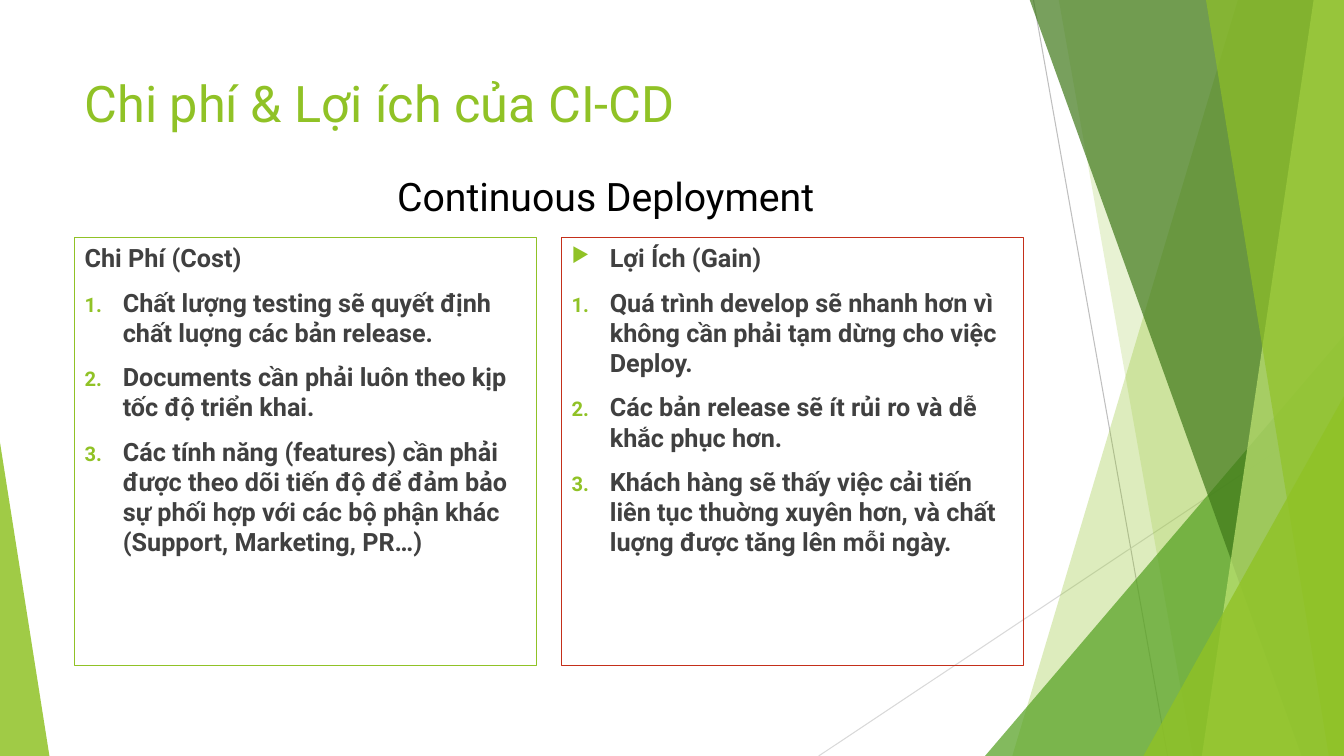
from lxml import etree
from pptx import Presentation
from pptx import util as u
from pptx.dml.color import RGBColor
from pptx.enum import shapes, text
from pptx.oxml.ns import qn
from pptx.util import Inches

COLORS = {
    "lime": "90C226", "green": "54A021", "forest": "3F7819", "pale": "C0E474",
    "red": "C42F1A", "ink": "404040", "black": "000000",
    "gray": "BFBFBF", "light_gray": "D9D9D9",
}
FONT = "Roboto"
TOP, BOTTOM, RIGHT = -0.01, 7.5, 13.33

COSTS = [
    "Chất lượng testing sẽ quyết định chất luợng các bản release.",
    "Documents cần phải luôn theo kịp tốc độ triển khai.",
    "Các tính năng (features) cần phải được theo dõi tiến độ để đảm bảo "
    "sự phối hợp với các bộ phận khác (Support, Marketing, PR…)",
]
GAINS = [
    "Quá trình develop sẽ nhanh hơn vì không cần phải tạm dừng cho việc Deploy.",
    "Các bản release sẽ ít rủi ro và dễ khắc phục hơn.",
    "Khách hàng sẽ thấy việc cải tiến liên tục thuờng xuyên hơn, "
    "và chất luợng được tăng lên mỗi ngày.",
]


def rgb(name):
    return RGBColor.from_string(COLORS[name])


def paint(shape, color, opacity):
    """Translucent fill without outline or shadow."""
    shape.shadow.inherit = False
    shape.line.fill.background()
    shape.fill.solid()
    shape.fill.fore_color.rgb = rgb(color)
    color_xml = shape.fill._xPr.find(qn("a:solidFill"))[0]
    etree.SubElement(color_xml, qn("a:alpha"), val=str(opacity * 1000))


def add_band(slide, top_left, bottom_left, color, opacity):
    """Slanted band that reaches the right edge of the slide."""
    corners = [(top_left, TOP), (RIGHT, TOP), (RIGHT, BOTTOM), (bottom_left, BOTTOM)]
    points = [(Inches(x), Inches(y)) for x, y in corners]
    builder = slide.shapes.build_freeform(*points[0])
    builder.add_line_segments(points[1:], close=True)
    paint(builder.convert_to_shape(), color, opacity)


def add_corner(slide, left, top, width, apex, color, opacity):
    """Right triangle standing on the bottom edge."""
    corner = slide.shapes.add_shape(
        shapes.MSO_SHAPE.ISOSCELES_TRIANGLE,
        Inches(left), Inches(top), Inches(width), Inches(BOTTOM - top))
    corner.adjustments[0] = apex
    paint(corner, color, opacity)


def add_hairline(slide, start, end, color):
    hairline = slide.shapes.add_connector(
        shapes.MSO_CONNECTOR.STRAIGHT, *map(Inches, start + end))
    hairline.line.color.rgb = rgb(color)
    hairline.line.width = u.Pt(0.75)
    etree.SubElement(hairline._element.spPr, qn("a:effectLst"))


def add_bullet(paragraph, bullet):
    """Hanging bullet: a character, or automatic numbers for "1."."""
    props = paragraph._p.get_or_add_pPr()
    props.set("marL", str(Inches(0.38)))
    props.set("indent", str(-Inches(0.38)))
    bullet_color = etree.SubElement(props, qn("a:buClr"))
    etree.SubElement(bullet_color, qn("a:srgbClr"), val=COLORS["lime"])
    etree.SubElement(props, qn("a:buSzPct"), val="80000")
    if bullet == "1.":
        etree.SubElement(props, qn("a:buAutoNum"), type="arabicPeriod")
    else:
        etree.SubElement(props, qn("a:buChar"), char=bullet)


def write(paragraph, words, size=18, color="ink", bold=False, bullet=None, before=0):
    if bullet:
        add_bullet(paragraph, bullet)
    paragraph.alignment = text.PP_ALIGN.LEFT
    if before:
        paragraph.space_before = u.Pt(before)
    run = paragraph.add_run()
    run.text = words
    run.font.name = FONT
    run.font.size = u.Pt(size)
    run.font.bold = bold
    run.font.color.rgb = rgb(color)


def add_heading(slide, words, box, size, color, wrap=True):
    heading = slide.shapes.add_textbox(*map(Inches, box))
    heading.text_frame.word_wrap = wrap
    write(heading.text_frame.paragraphs[0], words, size=size, color=color)


def add_panel(slide, left, border, heading, items, heading_bullet=None):
    """Outlined box with a heading and a numbered list."""
    panel = slide.shapes.add_shape(
        shapes.MSO_SHAPE.RECTANGLE,
        Inches(left), Inches(2.36), Inches(4.58), Inches(4.24))
    panel.shadow.inherit = False
    panel.fill.background()
    panel.line.color.rgb = rgb(border)
    panel.line.width = u.Pt(0.75)
    frame = panel.text_frame
    frame.word_wrap = True
    frame.vertical_anchor = text.MSO_ANCHOR.TOP
    write(frame.paragraphs[0], heading, bold=True, bullet=heading_bullet)
    for item in items:
        write(frame.add_paragraph(), item, bold=True, bullet="1.", before=10)


def add_backdrop(slide):
    add_hairline(slide, (10.25, 0), (11.58, BOTTOM), "gray")
    add_hairline(slide, (RIGHT, 4.03), (8.12, BOTTOM), "light_gray")
    add_band(slide, 12.28, 10.04, "lime", 30)
    add_band(slide, 10.5, 11.83, "lime", 20)
    add_corner(slide, 9.77, 3.33, 3.56, 1, "green", 72)
    add_band(slide, 10.21, 12.91, "forest", 70)
    add_band(slide, 13.03, 11.92, "pale", 70)
    add_band(slide, 11.96, 13.18, "lime", 65)
    add_corner(slide, 11.34, 3.93, 1.99, 1, "lime", 80)
    add_corner(slide, 0, 4.39, 0.49, 0, "lime", 85)


def main():
    deck = Presentation()
    deck.slide_width, deck.slide_height = Inches(13.33), Inches(7.5)
    slide = deck.slides.add_slide(deck.slide_layouts[6])

    # Decorative facets
    add_backdrop(slide)

    # Title and the two panels
    add_heading(slide, "Chi phí & Lợi ích của CI-CD", (0.74, 0.67, 9.4, 1.44), 36, "lime")
    add_panel(slide, 0.74, "lime", "Chi Phí (Cost)", COSTS)
    add_panel(slide, 5.57, "red", "Lợi Ích (Gain)", GAINS, heading_bullet="▶")

    # Subtitle above the panels
    add_heading(slide, "Continuous Deployment", (3.84, 1.66, 4.36, 0.57), 28, "black",
                wrap=False)

    deck.save("out.pptx")


if __name__ == "__main__":
    main()
